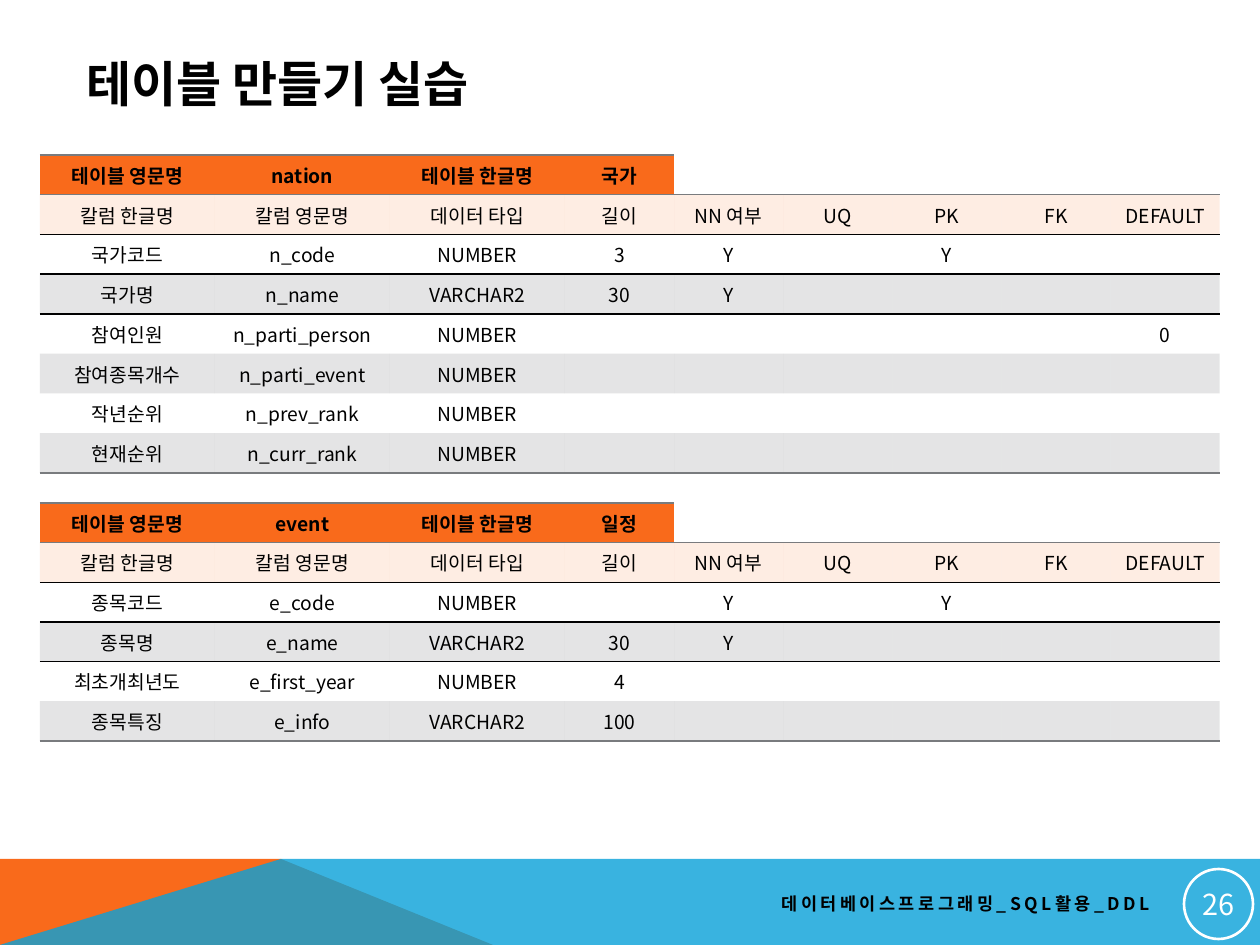
"""Builds the table-creation practice slide with two column definition tables."""
from lxml import etree
from pptx import Presentation
from pptx.dml.color import RGBColor
from pptx.enum.shapes import MSO_SHAPE
from pptx.enum.text import MSO_ANCHOR, PP_ALIGN
from pptx.oxml.ns import qn
from pptx.util import Pt

OVAL = MSO_SHAPE.OVAL
MIDDLE = MSO_ANCHOR.MIDDLE
LEFT, CENTER, RIGHT = PP_ALIGN.LEFT, PP_ALIGN.CENTER, PP_ALIGN.RIGHT

SCALE = 7257.14
FONT = "Noto Sans CJK KR"
COLORS = {
    "orange": "F96A1B", "peach": "FBA676", "gray": "797B7E",
    "blue": "08A1D9", "black": "000000", "white": "FFFFFF",
}

TITLE = "테이블 만들기 실습"
FOOTER = "데이터베이스프로그래밍_SQL활용_DDL"
PAGE = "26"
HEADINGS = ("칼럼 한글명", "칼럼 영문명", "데이터 타입", "길이",
            "NN 여부", "UQ", "PK", "FK", "DEFAULT")
DEFINITIONS = [
    {"english": "nation", "korean": "국가", "top": 155, "height": 318, "columns": [
        ("국가코드", "n_code", "NUMBER", "3", "Y", "", "Y", "", ""),
        ("국가명", "n_name", "VARCHAR2", "30", "Y", "", "", "", ""),
        ("참여인원", "n_parti_person", "NUMBER", "", "", "", "", "", "0"),
        ("참여종목개수", "n_parti_event", "NUMBER", "", "", "", "", "", ""),
        ("작년순위", "n_prev_rank", "NUMBER", "", "", "", "", "", ""),
        ("현재순위", "n_curr_rank", "NUMBER", "", "", "", "", "", ""),
    ]},
    {"english": "event", "korean": "일정", "top": 503, "height": 238, "columns": [
        ("종목코드", "e_code", "NUMBER", "", "Y", "", "Y", "", ""),
        ("종목명", "e_name", "VARCHAR2", "30", "Y", "", "", "", ""),
        ("최초개최년도", "e_first_year", "NUMBER", "4", "", "", "", "", ""),
        ("종목특징", "e_info", "VARCHAR2", "100", "", "", "", "", ""),
    ]},
]
TABLE_LEFT, TABLE_WIDTH = 40, 1180
WIDE_COLUMNS, WIDE_WIDTH = 3, 175
NAMED_CELLS = 4
BANDS = [
    ("orange", 100, [(0, 945), (0, 859), (281, 859), (493, 945)]),
    ("blue", 80, [(0, 945), (281, 859), (1260, 859), (1260, 945)]),
]
NO_STYLE = "{2D5ABB26-0587-4C30-8999-92F81FD0307C}"


def px(value):
    return round(value * SCALE)


def rgb(name):
    return RGBColor.from_string(COLORS[name])


def paint(fill, element, name, opacity=100):
    fill.solid()
    fill.fore_color.rgb = rgb(name)
    if opacity < 100:
        color = element.find(qn("a:solidFill")).find(qn("a:srgbClr"))
        etree.SubElement(color, qn("a:alpha"), val=str(opacity * 1000))


def write(frame, text, size, align, color="black", bold=False, spacing=0):
    paragraph = frame.paragraphs[0]
    paragraph.alignment = align
    if not text:
        etree.SubElement(paragraph._p, qn("a:endParaRPr"), sz=str(size * 100))
        return
    run = paragraph.add_run()
    run.text = text
    run.font.name = FONT
    run.font.size = Pt(size)
    run.font.bold = bold
    run.font.color.rgb = rgb(color)
    properties = run.font._element
    etree.SubElement(properties, qn("a:ea"), typeface=FONT)
    if spacing:
        properties.set("spc", str(spacing * 100))


def add_label(slide, box, text, size, align, spacing=0):
    frame = slide.shapes.add_textbox(*map(px, box)).text_frame
    frame.word_wrap = True
    frame.vertical_anchor = MIDDLE
    write(frame, text, size, align, bold=True, spacing=spacing)


def add_border(cell, side, name):
    line = etree.SubElement(cell._tc.get_or_add_tcPr(), qn("a:ln" + side), w=str(Pt(1)))
    solid = etree.SubElement(line, qn("a:solidFill"))
    etree.SubElement(solid, qn("a:srgbClr"), val=COLORS[name])


def row_look(index, last):
    """Returns fill, opacity, top border and bottom border of a table row."""
    if index == 0:
        return "orange", 100, "gray", "gray"
    if index == 1:
        return "peach", 20, "gray", "black"
    if index == 2:
        return None, 100, "black", "black"
    return ("gray" if index % 2 else None, 20,
            "black" if index == 3 else None, "gray" if index == last else None)


def add_definition(slide, definition):
    naming = ("테이블 영문명", definition["english"], "테이블 한글명", definition["korean"])
    blanks = ("",) * (len(HEADINGS) - NAMED_CELLS)
    rows = [naming + blanks, HEADINGS, *definition["columns"]]
    frame = slide.shapes.add_table(
        len(rows), len(HEADINGS), px(TABLE_LEFT), px(definition["top"]),
        px(TABLE_WIDTH), px(definition["height"]))
    table = frame.table
    table.first_row = table.horz_banding = False
    table._tbl.tblPr.find(qn("a:tableStyleId")).text = NO_STYLE
    narrow = (TABLE_WIDTH - WIDE_COLUMNS * WIDE_WIDTH) / (len(HEADINGS) - WIDE_COLUMNS)
    for index, column in enumerate(table.columns):
        column.width = px(WIDE_WIDTH if index < WIDE_COLUMNS else narrow)
    for r, values in enumerate(rows):
        table.rows[r].height = px(definition["height"] / len(rows))
        fill, opacity, top, bottom = row_look(r, len(rows) - 1)
        for c, value in enumerate(values):
            cell = table.cell(r, c)
            cell.margin_left = cell.margin_right = px(9)
            cell.margin_top = cell.margin_bottom = px(2)
            cell.vertical_anchor = MIDDLE
            unnamed = r == 0 and c >= NAMED_CELLS
            if top and not unnamed:
                add_border(cell, "T", top)
            if bottom:
                add_border(cell, "B", bottom)
            if fill and not unnamed:
                paint(cell.fill, cell._tc.tcPr, fill, opacity)
            else:
                cell.fill.background()
            write(cell.text_frame, value, 11, CENTER, bold=r == 0)


def add_band(slide, color, opacity, points):
    builder = slide.shapes.build_freeform(*points[0], scale=SCALE)
    builder.add_line_segments(points[1:], close=True)
    band = builder.convert_to_shape()
    band.shadow.inherit = False
    paint(band.fill, band._element.spPr, color, opacity)
    band.line.fill.background()


def add_page_badge(slide):
    badge = slide.shapes.add_shape(OVAL, px(1184), px(869), px(69), px(70))
    badge.shadow.inherit = False
    badge.fill.background()
    badge.line.color.rgb = rgb("white")
    badge.line.width = Pt(1.5)
    frame = badge.text_frame
    frame.margin_left = frame.margin_right = frame.margin_top = frame.margin_bottom = px(1)
    frame.vertical_anchor = MIDDLE
    write(frame, PAGE, 16.5, CENTER, "white")


deck = Presentation()
deck.slide_width, deck.slide_height = px(1260), px(945)
slide = deck.slides.add_slide(deck.slide_layouts[6])
for band in BANDS:
    add_band(slide, *band)
add_label(slide, (74, 45, 1036, 76), TITLE, 28, LEFT)
add_page_badge(slide)
add_label(slide, (451, 885, 711, 38), FOOTER, 10, RIGHT, spacing=2)
for definition in DEFINITIONS:
    add_definition(slide, definition)
deck.save("out.pptx")
